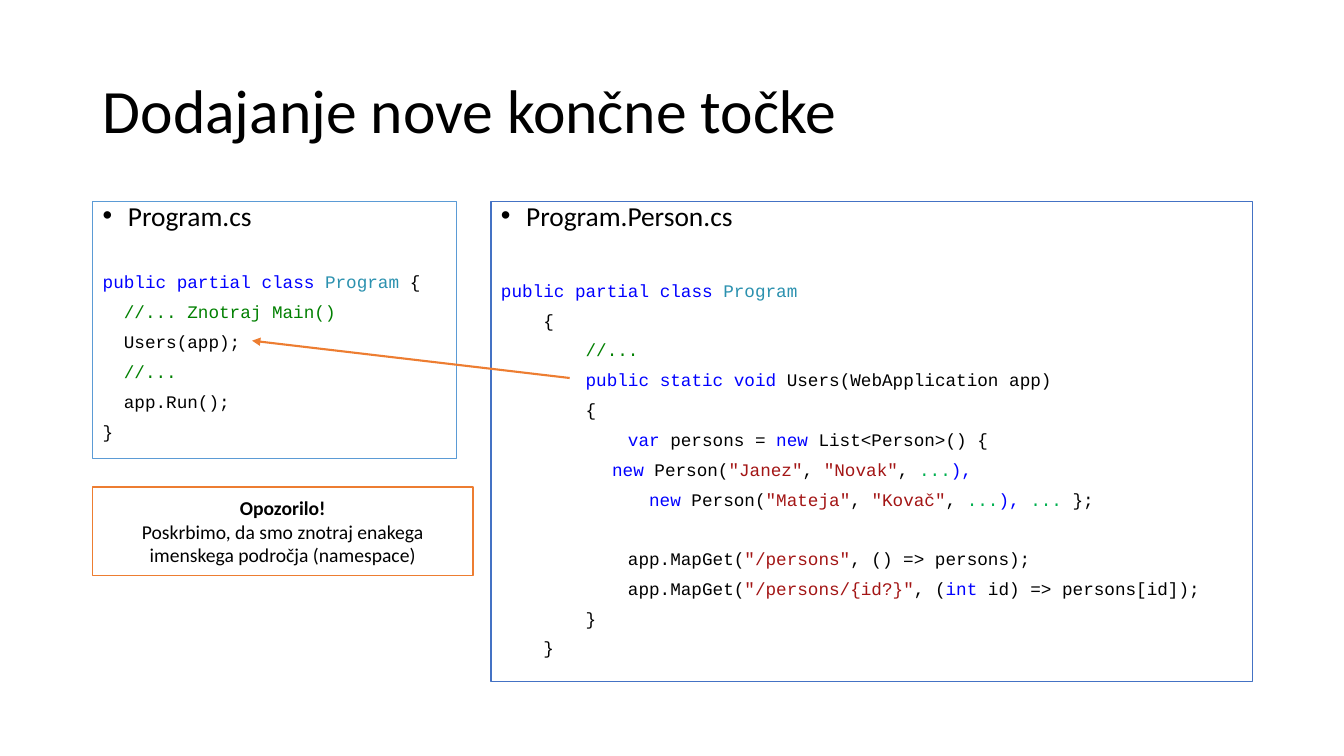
from dataclasses import dataclass

from lxml import etree
from pptx import Presentation
from pptx.dml.color import RGBColor
from pptx.enum.shapes import MSO_CONNECTOR, MSO_SHAPE
from pptx.enum.text import MSO_ANCHOR, PP_ALIGN
from pptx.oxml.ns import qn
from pptx.util import Inches, Pt

RECT, LINE = MSO_SHAPE.RECTANGLE, MSO_CONNECTOR.STRAIGHT
TOP, MIDDLE = MSO_ANCHOR.TOP, MSO_ANCHOR.MIDDLE
LEFT, CENTER = PP_ALIGN.LEFT, PP_ALIGN.CENTER


@dataclass(frozen=True)
class Theme:
    sans: str = "Calibri"
    mono: str = "Courier New"
    title: float = 44
    head: float = 19.6
    code: float = 12.6
    note: float = 14
    white: str = "FFFFFF"
    text: str = "000000"
    key: str = "0000FF"
    kind: str = "2B91AF"
    remark: str = "008000"
    quote: str = "A31515"
    dots: str = "00B050"
    sky: str = "5B9BD5"
    blue: str = "4472C4"
    orange: str = "ED7D31"


T = Theme()
CHAR = 0.105  # width of one code character in inches
TIGHT = 0.75  # line spacing of the code panels
GAP = 10      # points before each panel line

# Code lines: indent in characters, points before, (text, colour) runs
MAIN = [
    (0, 32, [("public partial class ", T.key), ("Program ", T.kind), ("{", T.text)]),
    (2, GAP, [("//... Znotraj Main()", T.remark)]),
    (2, GAP, [("Users(app);", T.text)]),
    (2, GAP, [("//...", T.remark)]),
    (2, GAP, [("app.Run();", T.text)]),
    (0, GAP, [("}", T.text)]),
]


def person(first, last):
    return [("new", T.key), (" Person(", T.text), (f'"{first}"', T.quote),
            (", ", T.text), (f'"{last}"', T.quote), (", ", T.text),
            ("...", T.dots)]


PERSON = [
    (0, 38, [("public partial class ", T.key), ("Program", T.kind)]),
    (4, GAP, [("{", T.text)]),
    (8, GAP, [("//...", T.remark)]),
    (8, GAP, [("public static void", T.key), (" Users(WebApplication app)", T.text)]),
    (8, GAP, [("{", T.text)]),
    (12, GAP, [("var", T.key), (" persons = ", T.text), ("new", T.key),
               (" List<Person>() {", T.text)]),
    (10.5, GAP, person("Janez", "Novak") + [("),", T.key)]),
    (14, GAP, person("Mateja", "Kovač")
     + [("), ", T.key), ("... ", T.dots), ("};", T.text)]),
    (12, 30.5, [("app.MapGet(", T.text), ('"/persons"', T.quote),
                (", () => persons);", T.text)]),
    (12, GAP, [("app.MapGet(", T.text), ('"/persons/{id?}"', T.quote),
               (", (", T.text), ("int", T.key), (" id) => persons[id]);", T.text)]),
    (8, GAP, [("}", T.text)]),
    (4, GAP, [("}", T.text)]),
]


def put(item, values):
    for name, value in values.items():
        setattr(item, name, value)


def add_run(para, text, size, color=T.text, font=T.sans, bold=False):
    run = para.add_run()
    run.text = text
    put(run.font, {"size": Pt(size), "name": font, "bold": bold})
    run.font.color.rgb = RGBColor.from_string(color)


def indent(para, left, first=0):
    props = para._p.get_or_add_pPr()
    props.set("marL", str(Inches(left)))
    props.set("indent", str(Inches(first)))
    return props


def add_frame(slide, box, color, anchor):
    """Outlined white rectangle; returns its text frame."""
    shape = slide.shapes.add_shape(RECT, *map(Inches, box))
    shape.shadow.inherit = False
    shape.fill.solid()
    shape.fill.fore_color.rgb = RGBColor.from_string(T.white)
    shape.line.color.rgb = RGBColor.from_string(color)
    shape.line.width = Pt(1)
    put(shape.text_frame, {"word_wrap": True, "vertical_anchor": anchor})
    return shape.text_frame


def add_title(slide, box, text):
    frame = slide.shapes.add_textbox(*map(Inches, box)).text_frame
    put(frame, {"word_wrap": True, "vertical_anchor": MIDDLE})
    para = frame.paragraphs[0]
    para.line_spacing = 0.9
    add_run(para, text, T.title)


def add_panel(slide, box, color, name, code):
    """File name as a bullet, then its code lines."""
    frame = add_frame(slide, box, color, TOP)
    style = {"alignment": LEFT, "line_spacing": TIGHT}
    para = frame.paragraphs[0]
    put(para, style | {"space_before": Pt(GAP)})
    props = indent(para, 0.25, -0.25)
    etree.SubElement(props, qn("a:buFont")).set("typeface", "Arial")
    etree.SubElement(props, qn("a:buChar")).set("char", "•")
    add_run(para, name, T.head)
    for chars, before, runs in code:
        para = frame.add_paragraph()
        put(para, style | {"space_before": Pt(before)})
        indent(para, chars * CHAR)
        for text, tint in runs:
            add_run(para, text, T.code, tint, T.mono)


def add_note(slide, box, head, body):
    frame = add_frame(slide, box, T.orange, MIDDLE)
    for para, text, bold in ((frame.paragraphs[0], head, True),
                             (frame.add_paragraph(), body, False)):
        para.alignment = CENTER
        add_run(para, text, T.note, bold=bold)


def add_arrow(slide, start, end):
    arrow = slide.shapes.add_connector(LINE, *map(Inches, start + end))
    arrow.line.color.rgb = RGBColor.from_string(T.orange)
    arrow.line.width = Pt(1.5)
    etree.SubElement(arrow.line._get_or_add_ln(), qn("a:tailEnd")).set("type", "triangle")
    etree.SubElement(arrow._element.spPr, qn("a:effectLst"))


def main():
    deck = Presentation()
    put(deck, {"slide_width": Inches(13.33), "slide_height": Inches(7.5)})
    slide = deck.slides.add_slide(deck.slide_layouts[6])
    left, top = 0.92, 2
    add_title(slide, (left, 0.4, 11.5, 1.45), "Dodajanje nove končne točke")
    add_panel(slide, (left, top, 3.61, 2.55), T.sky, "Program.cs", MAIN)
    add_panel(slide, (4.87, top, 7.55, 4.76), T.blue, "Program.Person.cs", PERSON)
    add_arrow(slide, (5.65, 3.75), (2.5, 3.38))
    add_note(slide, (left, 4.83, 3.77, 0.88), "Opozorilo!",
             "Poskrbimo, da smo znotraj enakega imenskega področja (namespace)")
    deck.save("out.pptx")


if __name__ == "__main__":
    main()
